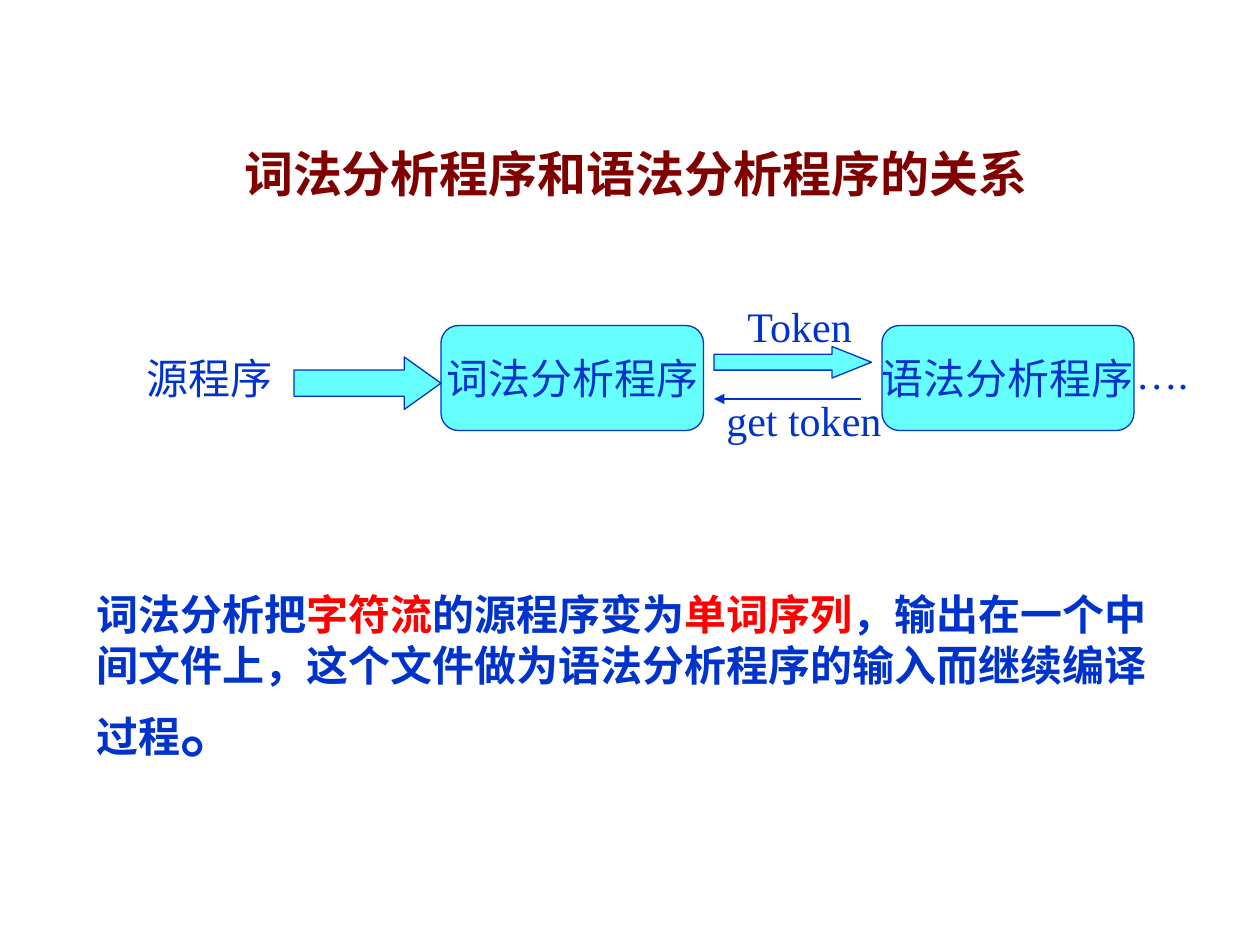
import pptx
import pptx.util
import pptx.dml.color
import pptx.enum.shapes
import pptx.enum.text
import pptx.oxml
import pptx.oxml.xmlchemy

COLORS = {"title": "800000", "ink": "0033CC", "key": "FF0000",
          "fill": "66FFFF", "white": "FFFFFF"}
SERIF, SANS = "Times New Roman", "Arial"
Pt = pptx.util.Pt
SHAPE = pptx.enum.shapes.MSO_SHAPE
ALIGN = pptx.enum.text.PP_ALIGN
MIDDLE = pptx.enum.text.MSO_ANCHOR.MIDDLE
GROW = pptx.enum.text.MSO_AUTO_SIZE.SHAPE_TO_FIT_TEXT


def rgb(name):
    return pptx.dml.color.RGBColor.from_string(COLORS[name])


def set_font(font, name, size, color, bold=False):
    font.name, font.size, font.bold = name, Pt(size), bold
    font.color.rgb = rgb(color)


def add_block(s, kind, x, y, w, h, adjustments, fill="fill", line="ink", text=None):
    sp = s.shapes.add_shape(kind, Pt(x), Pt(y), Pt(w), Pt(h))
    sp.shadow.inherit = False
    for i, value in enumerate(adjustments):
        sp.adjustments[i] = value
    sp.fill.solid()
    sp.fill.fore_color.rgb = rgb(fill)
    sp.line.color.rgb = rgb(line)
    sp.line.width = Pt(0.75)
    if text:
        tf = sp.text_frame
        tf.word_wrap = False
        tf.vertical_anchor = MIDDLE
        p = tf.paragraphs[0]
        p.text, p.alignment = text, ALIGN.CENTER
        set_font(p.font, SERIF, 24, "ink")


def add_label(s, x, y, w, text):
    tf = s.shapes.add_textbox(Pt(x), Pt(y), Pt(w), Pt(36)).text_frame
    tf.word_wrap = False
    tf.auto_size = GROW
    p = tf.paragraphs[0]
    p.text = text
    set_font(p.font, SERIF, 24, "ink")


def add_back_arrow(s, x1, x2, y):
    line = s.shapes.add_connector(pptx.enum.shapes.MSO_CONNECTOR.STRAIGHT,
                                  Pt(x1), Pt(y), Pt(x2), Pt(y))
    line.line.color.rgb = rgb("ink")
    line.line.width = Pt(0.75)
    element = pptx.oxml.xmlchemy.OxmlElement
    head = element("a:tailEnd")
    head.set("type", "triangle")
    sp_pr = line._element.spPr
    sp_pr.get_or_add_ln().append(head)
    sp_pr.append(element("a:effectLst"))


def place_title(s, x, y, w, h):
    sp = s.shapes.title
    sp.left, sp.top, sp.width, sp.height = Pt(x), Pt(y), Pt(w), Pt(h)
    sp.text_frame.vertical_anchor = MIDDLE
    p = sp.text_frame.paragraphs[0]
    p.text, p.alignment = " 词法分析程序和语法分析程序的关系", ALIGN.CENTER
    set_font(p.font, SANS, 28, "title", True)


def add_flow(s, x, y):
    # Stages
    for dx, w, text, fill, line in [(0, 84, "源程序", "white", "white"),
                                    (174, 150, "词法分析程序", "fill", "ink"),
                                    (426, 144, "语法分析程序", "fill", "ink")]:
        add_block(s, SHAPE.ROUNDED_RECTANGLE, x + dx, y + 18, w, 60,
                  [0.167], fill, line, text)
    # Block arrows between the stages
    for dx, dy, w, h, head in [(90, 36, 84, 30, 0.7), (330, 30, 90, 18, 1.25)]:
        add_block(s, SHAPE.RIGHT_ARROW, x + dx, y + dy, w, h, [0.5, head])
    # Request arrow and labels
    add_back_arrow(s, x + 414, x + 330, y + 60)
    for dx, dy, w, text in [(342, 0, 75.6, "Token"), (330, 54, 103, "get token"),
                            (564, 27, 46, "….")]:
        add_label(s, x + dx, y + dy, w, text)


def add_summary(s, x, y, w, h):
    tf = s.shapes.add_textbox(Pt(x), Pt(y), Pt(w), Pt(h)).text_frame
    tf.word_wrap = True
    p = tf.paragraphs[0]
    for text, color, size in [
            ("词法分析把", "ink", 24), ("字符流", "key", 24),
            ("的源程序变为", "ink", 24), ("单词序列", "key", 24),
            ("，输出在一个中间文件上，这个文件做为语法分析程序的输入而继续编译过程", "ink", 24),
            ("。", "ink", 36)]:
        r = p.add_run()
        r.text = text
        set_font(r.font, SANS, size, color, True)


def main():
    prs = pptx.Presentation()
    prs.slide_width, prs.slide_height = Pt(720), Pt(540)
    s = prs.slides.add_slide(prs.slide_layouts[5])
    place_title(s, 24, 54, 672, 90)
    add_flow(s, 78, 168)
    add_summary(s, 48, 333, 618.5, 108)
    prs.save("out.pptx")


if __name__ == "__main__":
    main()
